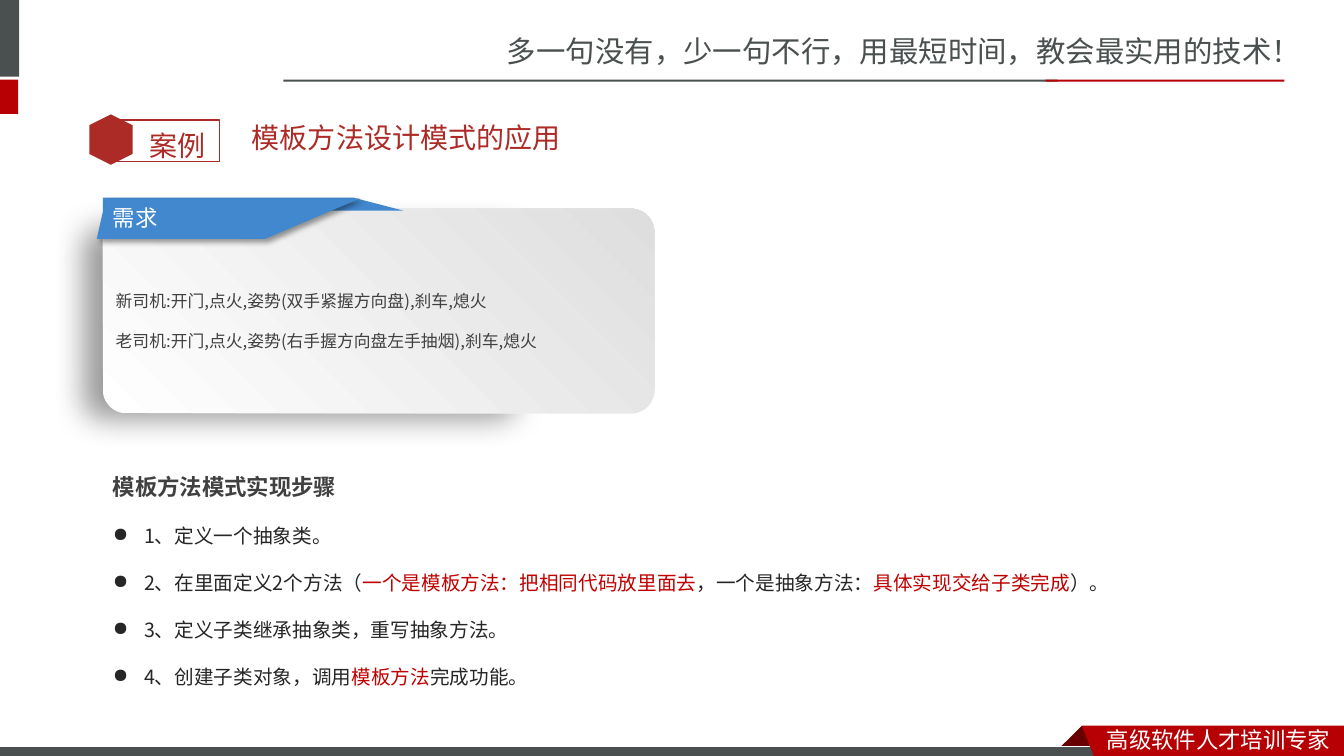
from lxml.etree import SubElement
from pptx import Presentation
from pptx.dml.color import RGBColor
from pptx.enum.shapes import MSO_SHAPE as Shape
from pptx.enum.text import MSO_ANCHOR as Anchor
from pptx.oxml.ns import qn
from pptx.util import Inches, Pt

# Content
GREY, RED, BRICK, BLUE, WHITE = "49504F", "B60004", "AD2B26", "4188CE", "FFFFFF"
DARK, BODY, ACCENT = "404040", "262626", "C00000"
SANS_SC, SANS_JP = "Noto Sans CJK SC", "Noto Sans CJK JP"

SLOGAN = "多一句没有，少一句不行，用最短时间，教会最实用的技术！"
FOOTER = "高级软件人才培训专家"
BADGE = "案例"
TITLE = "模板方法设计模式的应用"
DEMAND_LABEL = "需求"
DEMANDS = [
    "新司机:开门,点火,姿势(双手紧握方向盘),刹车,熄火",
    "老司机:开门,点火,姿势(右手握方向盘左手抽烟),刹车,熄火",
]
STEPS_HEADING = "模板方法模式实现步骤"
STEPS = [
    [("1、定义一个抽象类。", BODY)],
    [("2、在里面定义2个方法（", BODY),
     ("一个是模板方法：把相同代码放里面去", ACCENT),
     ("，一个是抽象方法：", BODY),
     ("具体实现交给子类完成", ACCENT),
     ("）。", BODY)],
    [("3、定义子类继承抽象类，重写抽象方法。", BODY)],
    [("4、创建子类对象，调用", BODY), ("模板方法", ACCENT), ("完成功能。", BODY)],
]

# Box: left, top, width, height
HEADER_BARS = [
    ((-0.06, 0, 0.25, 0.76), GREY),
    ((-0.06, 0.79, 0.24, 0.34), RED),
    ((2.81, 0.79, 7.68, 0.02), GREY),
    ((10.37, 0.79, 2.37, 0.02), RED),
]
FOOTER_FOLD = [(10.73, 7.2), (10.95, 7.42), (10.94, 7.43), (10.52, 7.43), (10.51, 7.42)]
FOOTER_RIBBON = [(10.73, 7.2), (13.33, 7.2), (13.33, 7.54), (10.86, 7.53)]
LABEL_BACK = [(1.02, 1.96), (3.5, 1.96), (4, 2.09), (1.02, 2.09)]
LABEL_FRONT = [(1.05, 1.97), (3.57, 1.97), (2.63, 2.37), (0.96, 2.37)]

deck = Presentation()
deck.slide_width, deck.slide_height = Inches(13.33), Inches(7.5)
slide = deck.slides.add_slide(deck.slide_layouts[6])


def rgb(color):
    return RGBColor.from_string(color)


def paint(shape, fill=None, line=None, line_width=1):
    shape.shadow.inherit = False
    if fill:
        shape.fill.solid()
        shape.fill.fore_color.rgb = rgb(fill)
    else:
        shape.fill.background()
    if line:
        shape.line.color.rgb = rgb(line)
        shape.line.width = Pt(line_width)
    else:
        shape.line.fill.background()
    return shape


def add_block(kind, box, fill=None, line=None, line_width=1):
    shape = slide.shapes.add_shape(kind, *map(Inches, box))
    return paint(shape, fill, line, line_width)


def add_outline(points, fill):
    start, *rest = [(Inches(x), Inches(y)) for x, y in points]
    builder = slide.shapes.build_freeform(*start)
    builder.add_line_segments(rest, close=True)
    return paint(builder.convert_to_shape(), fill)


def add_card(box, corner, end_color, angle):
    card = add_block(Shape.ROUNDED_RECTANGLE, box)
    card.adjustments[0] = corner
    card.fill.gradient()
    card.fill.gradient_angle = angle
    for stop, color in zip(card.fill.gradient_stops, (WHITE, end_color)):
        stop.color.rgb = rgb(color)
    return card


def cast_shadow(shape, blur, distance, direction):
    effects = shape._element.spPr.find(qn("a:effectLst"))
    shadow = SubElement(effects, qn("a:outerShdw"), blurRad=str(Pt(blur)),
                        dist=str(Pt(distance)), dir=str(direction * 60000),
                        algn="ctr", rotWithShape="0")
    color = SubElement(shadow, qn("a:srgbClr"), val="000000")
    SubElement(color, qn("a:alpha"), val="40000")


def add_run(paragraph, text, size, font, color, bold=False):
    run = paragraph.add_run()
    run.text = text
    run.font.size, run.font.bold, run.font.name = Pt(size), bold, font
    run.font.color.rgb = rgb(color)
    SubElement(run._r.get_or_add_rPr(), qn("a:ea"), typeface=font)


def add_text(box, text, size, font, color, bold=False, spacing=1.0, anchor=Anchor.TOP):
    frame = slide.shapes.add_textbox(*map(Inches, box)).text_frame
    frame.word_wrap = True
    frame.vertical_anchor = anchor
    frame.paragraphs[0].line_spacing = spacing
    add_run(frame.paragraphs[0], text, size, font, color, bold)
    return frame


# Header
add_text((4.93, 0.28, 8.41, 0.47), SLOGAN, 21, SANS_SC, GREY)
for bar, color in HEADER_BARS:
    add_block(Shape.RECTANGLE, bar, color)

# Footer
add_outline(FOOTER_FOLD, "680000")
add_block(Shape.RECTANGLE, (-0.01, 7.41, 11, 0.12), GREY, WHITE, 0.75)
add_outline(FOOTER_RIBBON, RED)
add_text((10.88, 7.15, 2.45, 0.37), FOOTER, 16, SANS_SC, WHITE)

# Badge and title
add_block(Shape.RECTANGLE, (1.09, 1.19, 1.09, 0.41), line=BRICK)
add_block(Shape.HEXAGON, (0.85, 1.17, 0.5, 0.43), BRICK).rotation = 90
add_text((1.38, 1.06, 0.85, 0.56), BADGE, 20, "Roboto", BRICK, spacing=1.5)
add_text((2.4, 1.08, 10.08, 0.57), TITLE, 20, "Lato", BRICK, anchor=Anchor.MIDDLE)

# Demand card
cast_shadow(add_card((1.02, 2.06, 4.29, 1.9), 0.1, "E0E0E0", 270), 22, 20, 135)
demand_frame = add_card((1.02, 2.07, 5.47, 2.03), 0.115, "DDDEDD", 45).text_frame
demand_frame.word_wrap = True
demand_frame.vertical_anchor = Anchor.MIDDLE
demand_frame.margin_left = demand_frame.margin_right = Inches(0.06)
demand_frame.margin_top = demand_frame.margin_bottom = Inches(0.03)
for index, demand in enumerate(DEMANDS):
    line = demand_frame.add_paragraph() if index else demand_frame.paragraphs[0]
    line.alignment = 1  # left
    line.line_spacing = 2.0
    add_run(line, demand, 12, SANS_JP, DARK)

# Demand label
add_outline(LABEL_BACK, BLUE)
cast_shadow(add_outline(LABEL_FRONT, BLUE), 4, 3, 45)
add_text((1.02, 1.98, 1.51, 0.37), DEMAND_LABEL, 16, SANS_SC, WHITE)

# Steps
steps_frame = add_text((1.02, 4.38, 9.91, 2.46), STEPS_HEADING, 16, SANS_JP, DARK,
                       bold=True, spacing=2.0)
for step in STEPS:
    line = steps_frame.add_paragraph()
    line.line_spacing = 2.0
    properties = line._p.get_or_add_pPr()
    properties.set("marL", str(Inches(0.31)))
    properties.set("indent", str(Inches(-0.31)))
    SubElement(properties, qn("a:buChar"), char="●")
    for text, color in step:
        add_run(line, text, 14, SANS_JP, color)

deck.save("out.pptx")
